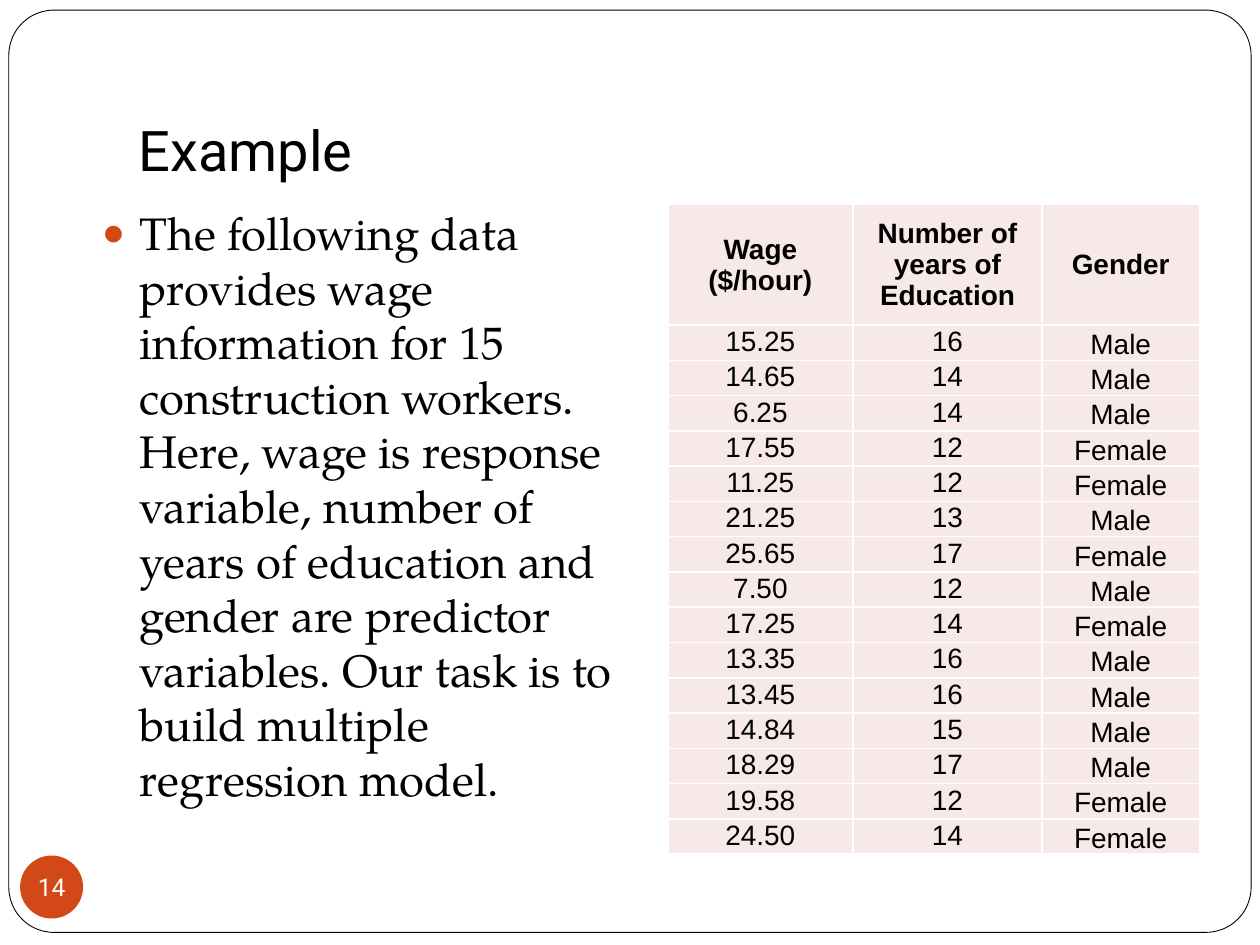
from lxml.etree import SubElement
from pptx import Presentation
from pptx.dml.color import RGBColor
from pptx.enum.shapes import MSO_SHAPE as Shape
from pptx.enum.text import MSO_ANCHOR as Anchor, PP_ALIGN as Align
from pptx.oxml.ns import qn
from pptx.util import Inches, Pt

BLACK = RGBColor(0x00, 0x00, 0x00)
WHITE = RGBColor(0xFF, 0xFF, 0xFF)
ORANGE = RGBColor(0xD3, 0x48, 0x17)
PINK = RGBColor(0xF7, 0xE9, 0xE8)

HEADING = {"name": "Roboto", "size": Pt(32), "bold": False}
BODY = {"name": "TeX Gyre Pagella", "size": Pt(26)}
CELL = {"name": "Arial", "size": Pt(16), "bold": False}
NUMBER = {"name": "Roboto", "size": Pt(14)}

BODY_TEXT = (
    "The following data provides wage information for 15 construction workers. "
    "Here, wage is response variable, number of years of education and gender "
    "are predictor variables. Our task is to build multiple regression model."
)
HEADERS = ("Wage ($/hour)", "Number of years of Education", "Gender")
WORKERS = (
    ("15.25", "16", "Male"),
    ("14.65", "14", "Male"),
    ("6.25", "14", "Male"),
    ("17.55", "12", "Female"),
    ("11.25", "12", "Female"),
    ("21.25", "13", "Male"),
    ("25.65", "17", "Female"),
    ("7.50", "12", "Male"),
    ("17.25", "14", "Female"),
    ("13.35", "16", "Male"),
    ("13.45", "16", "Male"),
    ("14.84", "15", "Male"),
    ("18.29", "17", "Male"),
    ("19.58", "12", "Female"),
    ("24.50", "14", "Female"),
)
COLUMN_WIDTHS = (1.47, 1.5, 1.25)
HEADER_HEIGHT, ROW_HEIGHT = 0.96, 0.28


def set_all(target, values):
    for name, value in values.items():
        setattr(target, name, value)


def margins(left, top, right, bottom):
    sides = ("left", "top", "right", "bottom")
    return {f"margin_{side}": Inches(size)
            for side, size in zip(sides, (left, top, right, bottom))}


def write(frame, text, font, color=BLACK, align=Align.LEFT):
    para = frame.paragraphs[0]
    para.alignment = align
    span = para.add_run()
    span.text = text
    set_all(span.font, font)
    span.font.color.rgb = color
    return para


def add_plain_shape(page, kind, place, fill):
    shape = page.shapes.add_shape(kind, *map(Inches, place))
    shape.shadow.inherit = False
    shape.fill.solid()
    shape.fill.fore_color.rgb = fill
    shape.line.fill.background()
    return shape


def add_frame(page):
    frame = add_plain_shape(page, Shape.ROUNDED_RECTANGLE, (0.07, 0.08, 9.86, 7.32), WHITE)
    frame.adjustments[0] = 0.049
    frame.line.color.rgb = BLACK
    frame.line.width = Pt(0.5)
    # Send the frame behind the title
    page.shapes._spTree.insert(2, frame._element)


def place_title(page):
    title = page.shapes.title
    set_all(title, {"left": Inches(1), "top": Inches(0.3),
                    "width": Inches(8.5), "height": Inches(1.25)})
    set_all(title.text_frame, {"vertical_anchor": Anchor.BOTTOM, "word_wrap": True,
                               **margins(0.1, 0.05, 0.1, 0.1)})
    write(title.text_frame, "Example", HEADING)


def add_bullet(para):
    properties = para._p.get_or_add_pPr()
    properties.set("marL", str(Inches(0.3)))
    properties.set("indent", str(-Inches(0.3)))
    color = SubElement(properties, qn("a:buClr"))
    SubElement(color, qn("a:srgbClr"), val=str(ORANGE))
    SubElement(properties, qn("a:buSzPct"), val="85000")
    SubElement(properties, qn("a:buFont"), typeface="Arial")
    SubElement(properties, qn("a:buChar"), char="\u25cf")


def add_body(page):
    box = page.shapes.add_textbox(Inches(0.71), Inches(1.58), Inches(4.29), Inches(5))
    box.text_frame.word_wrap = True
    para = write(box.text_frame, BODY_TEXT, BODY)
    para.space_before = Pt(5.8)
    add_bullet(para)


def add_borders(cell):
    properties = cell._tc.get_or_add_tcPr()
    for side in ("lnL", "lnR", "lnT", "lnB"):
        line = SubElement(properties, qn(f"a:{side}"), w=str(Pt(1)))
        fill = SubElement(line, qn("a:solidFill"))
        SubElement(fill, qn("a:srgbClr"), val=str(WHITE))


def fill_cell(cell, text, anchor, bold):
    set_all(cell, {"vertical_anchor": anchor, **margins(0.01, 0.01, 0.01, 0)})
    write(cell.text_frame, text, {**CELL, "bold": bold}, align=Align.CENTER)
    add_borders(cell)
    cell.fill.solid()
    cell.fill.fore_color.rgb = PINK


def add_wage_table(page):
    rows = (HEADERS, *WORKERS)
    height = HEADER_HEIGHT + ROW_HEIGHT * len(WORKERS)
    table = page.shapes.add_table(
        len(rows), len(HEADERS), Inches(5.3), Inches(1.62),
        Inches(sum(COLUMN_WIDTHS)), Inches(height)).table
    table.horz_banding = False
    for column, width in zip(table.columns, COLUMN_WIDTHS):
        column.width = Inches(width)
    body_anchors = (Anchor.TOP, Anchor.TOP, Anchor.BOTTOM)
    for r, values in enumerate(rows):
        header = r == 0
        table.rows[r].height = Inches(HEADER_HEIGHT if header else ROW_HEIGHT)
        for c, text in enumerate(values):
            anchor = Anchor.MIDDLE if header else body_anchors[c]
            fill_cell(table.cell(r, c), text, anchor, header)


def add_page_number(page):
    badge = add_plain_shape(page, Shape.OVAL, (0.16, 6.79, 0.5, 0.5), ORANGE)
    set_all(badge.text_frame, {"vertical_anchor": Anchor.MIDDLE, "word_wrap": False,
                               **margins(0, 0, 0, 0)})
    write(badge.text_frame, "14", NUMBER, WHITE, Align.CENTER)


def main():
    deck = Presentation()
    set_all(deck, {"slide_width": Inches(10), "slide_height": Inches(7.5)})
    page = deck.slides.add_slide(deck.slide_layouts[5])
    add_frame(page)
    place_title(page)
    add_body(page)
    add_wage_table(page)
    add_page_number(page)
    deck.save("out.pptx")


main()
